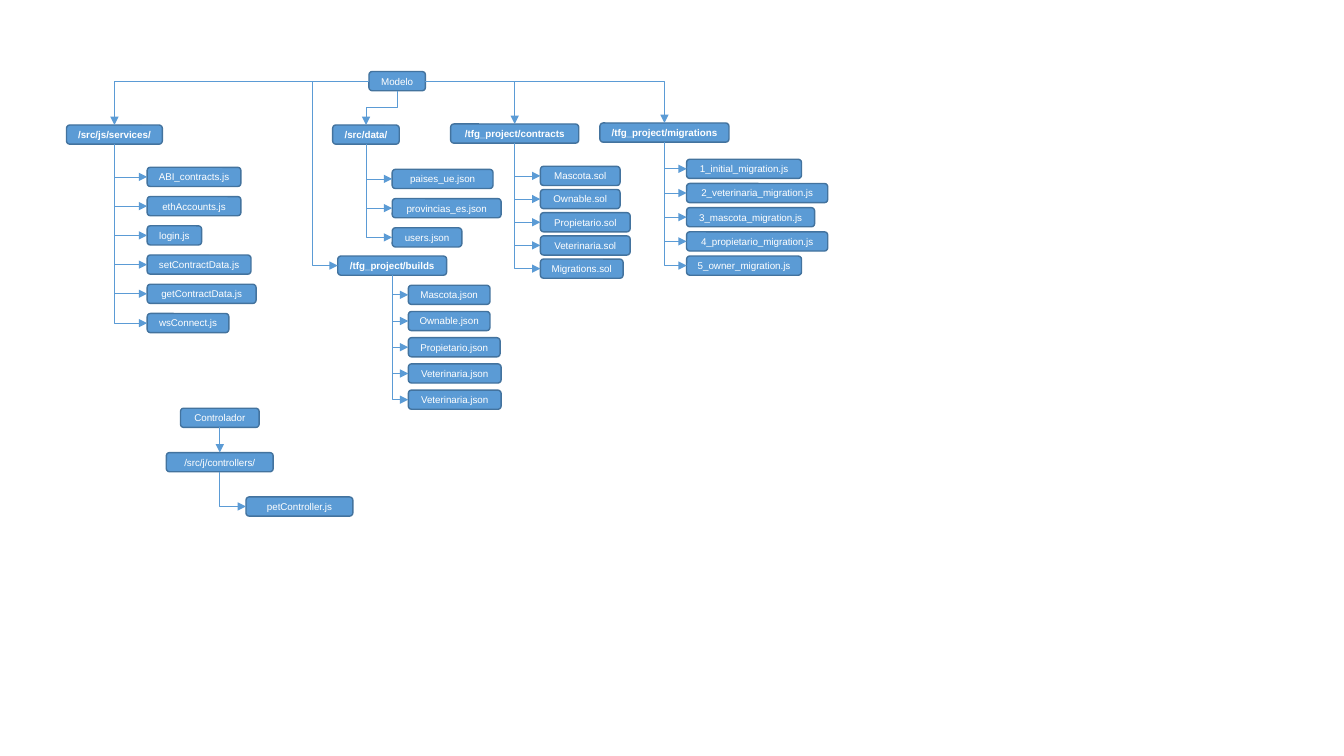
from lxml import etree
from pptx import Presentation
from pptx.dml.color import RGBColor
from pptx.enum.shapes import MSO_CONNECTOR, MSO_SHAPE
from pptx.enum.text import MSO_ANCHOR, PP_ALIGN
from pptx.oxml.ns import qn
from pptx.util import Inches, Pt

ROUNDED = MSO_SHAPE.ROUNDED_RECTANGLE
STRAIGHT, ELBOW = MSO_CONNECTOR.STRAIGHT, MSO_CONNECTOR.ELBOW
CENTER, MIDDLE = PP_ALIGN.CENTER, MSO_ANCHOR.MIDDLE
TOP, LEFT, BOTTOM, RIGHT = range(4)

BLUE = RGBColor(0x5B, 0x9B, 0xD5)
DARK_BLUE = RGBColor(0x43, 0x73, 0x9E)
WHITE = RGBColor(0xFF, 0xFF, 0xFF)

BOX_HEIGHT = 0.19

# Elbow routes: preset, rotation in degrees, flip attribute, bend adjustment
DOWN_RIGHT = ("bentConnector2", 270, "flipH", None)
LEFT_DOWN = ("bentConnector2", 180, "flipV", None)
RIGHT_DOWN = ("bentConnector2", 0, None, None)
DOWN_LEFT_DOWN = ("bentConnector3", 90, None, 50000)
AROUND_LEFT = ("bentConnector3", 180, "flipV", 179900)

# Folder: name, left, top, width; route from the model and the sides it joins;
# files: left, first top, step, (name, width) pairs
FOLDERS = [
    (("/src/js/services/", 0.66, 1.24, 0.95), (LEFT_DOWN, LEFT, TOP),
     (1.46, 1.66, 0.29), [
        ("ABI_contracts.js", 0.93), ("ethAccounts.js", 0.93), ("login.js", 0.54),
        ("setContractData.js", 1.03), ("getContractData.js", 1.08),
        ("wsConnect.js", 0.81)]),
    (("/src/data/", 3.3, 1.24, 0.66), (DOWN_LEFT_DOWN, BOTTOM, TOP),
     (3.89, 1.68, 0.29), [
        ("paises_ue.json", 1.0), ("provincias_es.json", 1.08), ("users.json", 0.69)]),
    (("/tfg_project/contracts", 4.47, 1.23, 1.27), (RIGHT_DOWN, RIGHT, TOP),
     (5.36, 1.65, 0.23), [
        ("Mascota.sol", 0.79), ("Ownable.sol", 0.79), ("Propietario.sol", 0.89),
        ("Veterinaria.sol", 0.89), ("Migrations.sol", 0.82)]),
    (("/tfg_project/migrations", 5.95, 1.22, 1.28), (RIGHT_DOWN, RIGHT, TOP),
     (6.81, 1.58, 0.24), [
        ("1_initial_migration.js", 1.14), ("2_veterinaria_migration.js", 1.4),
        ("3_mascota_migration.js", 1.27), ("4_propietario_migration.js", 1.4),
        ("5_owner_migration.js", 1.14)]),
    (("/tfg_project/builds", 3.35, 2.54, 1.08), (AROUND_LEFT, LEFT, LEFT),
     (4.05, 2.83, 0.26), [
        ("Mascota.json", 0.81), ("Ownable.json", 0.81), ("Propietario.json", 0.91),
        ("Veterinaria.json", 0.92), ("Veterinaria.json", 0.92)]),
]


class TreeDiagram:
    """Draws boxes and arrows in one style on one slide."""

    def __init__(self, slide):
        self.shapes = slide.shapes

    def box(self, text, left, top, width, bold=False):
        shape = self.shapes.add_shape(
            ROUNDED, Inches(left), Inches(top), Inches(width), Inches(BOX_HEIGHT))
        shape.shadow.inherit = False
        shape.fill.solid()
        shape.fill.fore_color.rgb = BLUE
        shape.line.color.rgb = DARK_BLUE
        shape.line.width = Pt(1)
        frame = shape.text_frame
        frame.text = text
        frame.word_wrap = False
        frame.vertical_anchor = MIDDLE
        frame.margin_left = frame.margin_right = 0
        frame.margin_top = frame.margin_bottom = 0
        paragraph = frame.paragraphs[0]
        paragraph.alignment = CENTER
        font = paragraph.runs[0].font
        font.name, font.size, font.bold = "Arial", Pt(7), bold
        font.color.rgb = WHITE
        return shape

    def arrow(self, kind, source, source_side, target, target_side):
        connector = self.shapes.add_connector(kind, 0, 0, 0, 0)
        connector.begin_connect(source, source_side)
        connector.end_connect(target, target_side)
        connector.line.color.rgb = BLUE
        connector.line.width = Pt(0.5)
        properties = connector._element.spPr
        line = properties.find(qn("a:ln"))
        etree.SubElement(line, qn("a:tailEnd"), type="triangle")
        etree.SubElement(properties, qn("a:effectLst"))
        return connector

    def elbow(self, route, source, source_side, target, target_side):
        """Joins two boxes with an arrow bent along the given route."""
        preset, rotation, flip, bend = route
        connector = self.arrow(ELBOW, source, source_side, target, target_side)
        middle_x = (connector.begin_x + connector.end_x) // 2
        middle_y = (connector.begin_y + connector.end_y) // 2
        width, height = connector.width, connector.height
        if rotation in (90, 270):
            width, height = height, width
        connector.left, connector.top = middle_x - width // 2, middle_y - height // 2
        connector.width, connector.height = width, height

        properties = connector._element.spPr
        transform = properties.find(qn("a:xfrm"))
        for name in ("flipH", "flipV"):
            transform.attrib.pop(name, None)
        if rotation:
            transform.set("rot", str(rotation * 60000))
        if flip:
            transform.set(flip, "1")
        geometry = properties.find(qn("a:prstGeom"))
        geometry.set("prst", preset)
        if bend is not None:
            adjustments = geometry.find(qn("a:avLst"))
            etree.SubElement(adjustments, qn("a:gd"), name="adj1", fmla=f"val {bend}")

    def file_list(self, folder, left, first_top, step, files):
        for index, (name, width) in enumerate(files):
            file_box = self.box(name, left, first_top + index * step, width)
            self.elbow(DOWN_RIGHT, folder, BOTTOM, file_box, LEFT)


def main():
    presentation = Presentation()
    presentation.slide_width = Inches(13.33)
    presentation.slide_height = Inches(7.5)
    blank_layout = presentation.slide_layouts[6]
    diagram = TreeDiagram(presentation.slides.add_slide(blank_layout))

    model = diagram.box("Modelo", 3.66, 0.71, 0.56)
    for folder_box, (route, model_side, folder_side), column, files in FOLDERS:
        folder = diagram.box(*folder_box, bold=True)
        diagram.elbow(route, model, model_side, folder, folder_side)
        diagram.file_list(folder, *column, files)

    controller = diagram.box("Controlador", 1.79, 4.05, 0.78)
    controllers = diagram.box("/src/j/controllers/", 1.65, 4.49, 1.06)
    diagram.arrow(STRAIGHT, controller, BOTTOM, controllers, TOP)
    diagram.file_list(controllers, 2.44, 4.93, 0, [("petController.js", 1.06)])

    presentation.save("out.pptx")


if __name__ == "__main__":
    main()
